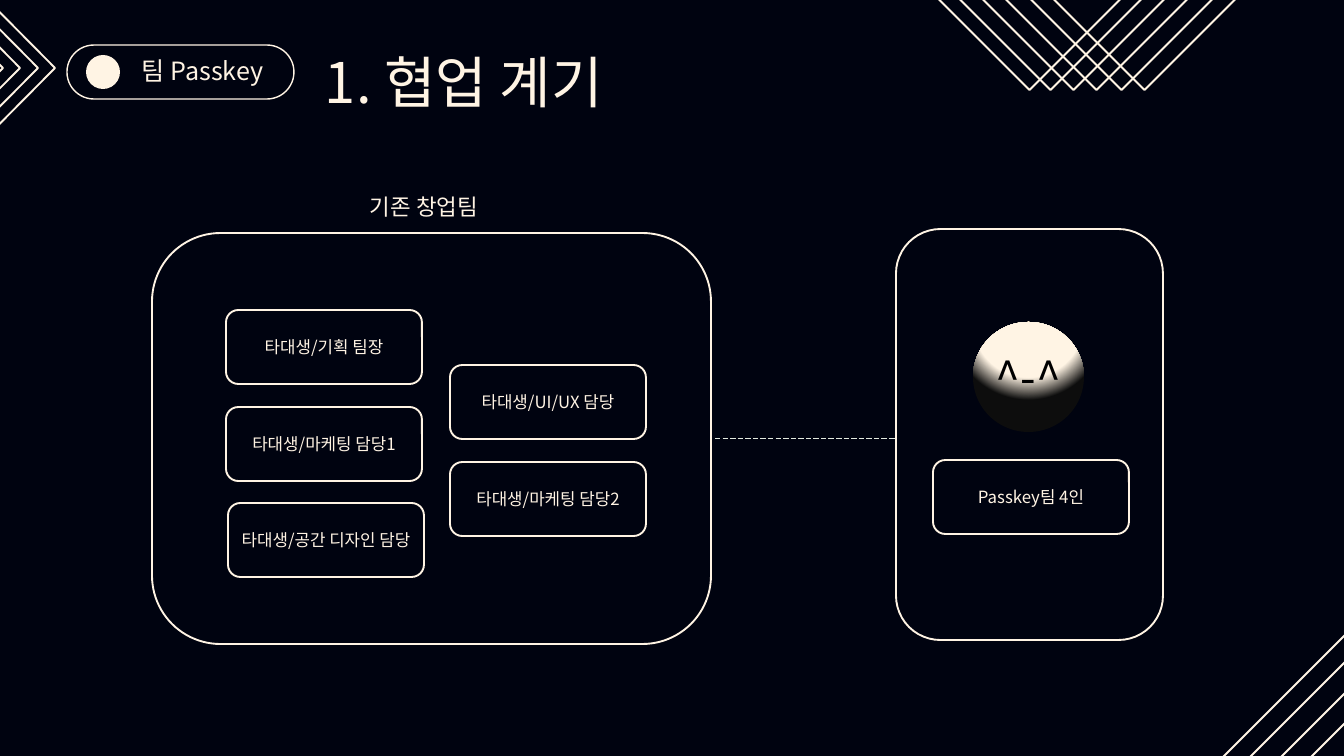
from lxml import etree
from pptx import Presentation, util as u
from pptx.dml.color import RGBColor
from pptx.enum import dml, shapes, text
from pptx.oxml import parse_xml
from pptx.oxml.ns import nsdecls, qn

SCALE = 18288000 / 1344  # EMU in one px
NAVY = RGBColor(0x00, 0x03, 0x10)
CREAM = RGBColor(0xFF, 0xF4, 0xE4)
SAGE = RGBColor(0xE3, 0xEA, 0xE0)
BLACK = RGBColor(0, 0, 0)
FONT = "Noto Sans CJK KR"
KIND = shapes.MSO_SHAPE

presentation = Presentation()
presentation.slide_width = u.Emu(round(1344 * SCALE))
presentation.slide_height = u.Emu(round(756 * SCALE))
slide = presentation.slides.add_slide(presentation.slide_layouts[6])
slide.background.fill.solid()
slide.background.fill.fore_color.rgb = NAVY


def add_shape(kind, left, top, width, height, line_width=2):
    """Add an outlined shape, or a text box when kind is None."""
    box = [u.Emu(round(length * SCALE)) for length in (left, top, width, height)]
    if kind is None:
        return slide.shapes.add_textbox(*box)
    shape = slide.shapes.add_shape(kind, *box)
    shape.shadow.inherit = False
    shape.fill.background()
    if line_width:
        shape.line.color.rgb = CREAM
        shape.line.width = u.Pt(line_width)
    else:
        shape.line.fill.background()
    return shape


def write(shape, words, size, color=CREAM, align=text.PP_ALIGN.CENTER):
    """Write one paragraph in the slide's font."""
    shape.text_frame.word_wrap = True
    paragraph = shape.text_frame.paragraphs[0]
    paragraph.text = words
    paragraph.alignment = align
    paragraph.font.size = u.Pt(size)
    paragraph.font.color.rgb = color
    paragraph.font.name = FONT
    properties = paragraph.font._element
    etree.SubElement(properties, qn("a:ea")).set("typeface", FONT)
    return paragraph


# Corner diamonds: lefts, top, width, height
for lefts, top, width, height in (
    ((-427, -410, -392, -375), -149, 430, 434),
    ((1099, 1126, 1157, 1187), 489, 784, 784),
    ((732, 753, 776, 799, 824, 847), -505, 595, 595),
):
    for left in lefts:
        add_shape(KIND.DIAMOND, left, top, width, height)

# Team badge
badge = add_shape(KIND.ROUNDED_RECTANGLE, 67, 45, 227, 54, 1.5)
badge.adjustments[0] = 0.5
dot = add_shape(KIND.OVAL, 86, 55, 34, 34, 0)
dot.fill.solid()
dot.fill.fore_color.rgb = CREAM

# Badge text and title
for words, box, size, spacing in (
    ("팀 Passkey", (142, 62, 188, 24), 26.9, 24.7),
    ("1. 협업 계기", (325, 26, 657, 81), 60, 95.3),
):
    heading = add_shape(None, *box)
    frame = heading.text_frame
    frame.margin_left = frame.margin_top = frame.margin_right = frame.margin_bottom = 0
    paragraph = write(heading, words, size, align=text.PP_ALIGN.LEFT)
    paragraph.line_spacing = u.Pt(spacing)

# Team frames and the caption of the first
add_shape(KIND.ROUNDED_RECTANGLE, 152, 233, 559, 411)
add_shape(KIND.ROUNDED_RECTANGLE, 896, 229, 267, 411)
write(add_shape(None, -200, 190, 1248, 34), "기존 창업팀", 24)

# Member cards
for words, left, top in (
    ("타대생/기획 팀장", 226, 310),
    ("타대생/마케팅 담당1", 226, 407),
    ("타대생/공간 디자인 담당", 228, 503),
    ("타대생/UI/UX 담당", 450, 365),
    ("타대생/마케팅 담당2", 450, 462),
    ("Passkey팀 4인", 933, 460),
):
    card = add_shape(KIND.ROUNDED_RECTANGLE, left, top, 196, 74)
    write(card, words, 18)

# Face with a radial gradient
face = add_shape(KIND.OVAL, 973, 322, 111, 110, 0)
write(face, "^-^", 48, BLACK)
gradient = parse_xml(
    f'<a:gradFill {nsdecls("a")} rotWithShape="1"><a:gsLst>'
    '<a:gs pos="71000"><a:srgbClr val="FFF4E4"/></a:gs>'
    '<a:gs pos="100000"><a:srgbClr val="0D0D0D"/></a:gs></a:gsLst>'
    '<a:path path="circle"><a:fillToRect l="50000" t="-80000" r="50000" b="180000"/></a:path>'
    "</a:gradFill>"
)
face_properties = face._element.spPr
face_properties.replace(face_properties.find(qn("a:noFill")), gradient)

# Dashed link between the teams
ends = [u.Emu(round(length * SCALE)) for length in (715, 438, 896, 438)]
link = slide.shapes.add_connector(shapes.MSO_CONNECTOR.STRAIGHT, *ends)
link.line.color.rgb = SAGE
link.line.width = u.Pt(0.75)
link.line.dash_style = dml.MSO_LINE.LONG_DASH
etree.SubElement(link._element.spPr, qn("a:effectLst"))

presentation.save("out.pptx")
